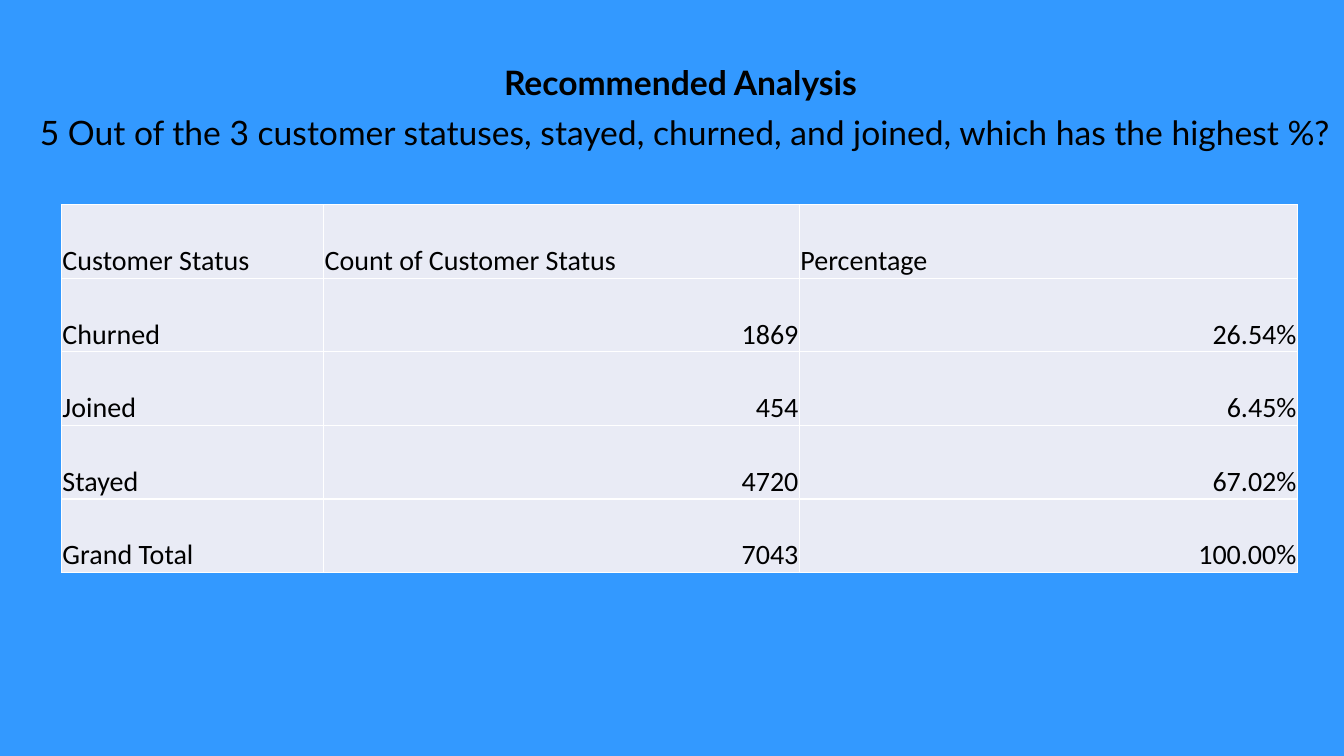
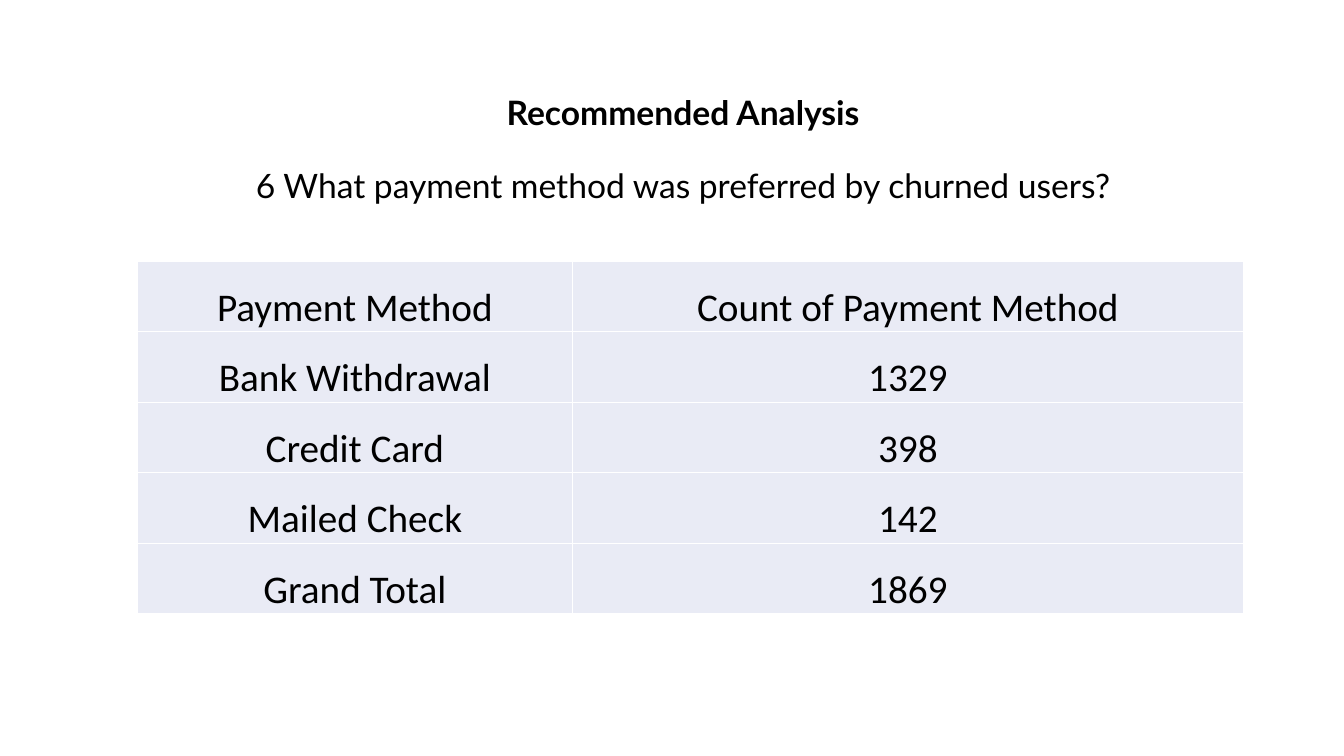
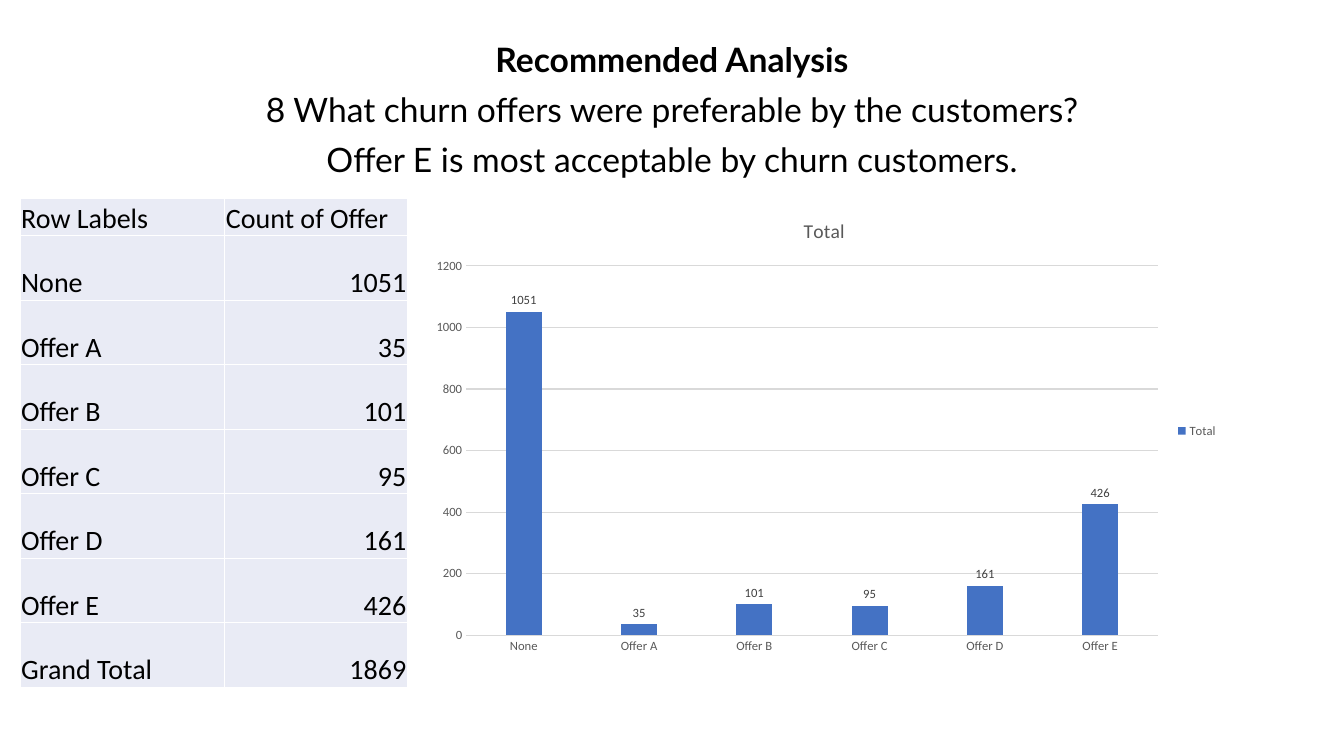
from pptx import Presentation
from pptx.chart.data import CategoryChartData
from pptx.dml.color import RGBColor
from pptx.enum.chart import (XL_CHART_TYPE, XL_LABEL_POSITION,
                             XL_LEGEND_POSITION, XL_TICK_MARK)
from pptx.enum.text import MSO_ANCHOR, PP_ALIGN
from pptx.oxml import parse_xml
from pptx.oxml.ns import nsdecls
from pptx.util import Inches, Pt

LEFT, CENTER, RIGHT = PP_ALIGN.LEFT, PP_ALIGN.CENTER, PP_ALIGN.RIGHT
BOTTOM = MSO_ANCHOR.BOTTOM
COLUMN_CLUSTERED = XL_CHART_TYPE.COLUMN_CLUSTERED
OUTSIDE_END = XL_LABEL_POSITION.OUTSIDE_END
LEGEND_RIGHT = XL_LEGEND_POSITION.RIGHT
NO_TICK = XL_TICK_MARK.NONE

BLUE = RGBColor(0x33, 0x99, 0xFF)
WHITE = RGBColor(0xFF, 0xFF, 0xFF)
BLACK = RGBColor(0x00, 0x00, 0x00)
CELL_FILL = RGBColor(0xE9, 0xEB, 0xF5)
BAR_BLUE = RGBColor(0x44, 0x72, 0xC4)
AXIS_TEXT = RGBColor(0x59, 0x59, 0x59)
LABEL_TEXT = RGBColor(0x40, 0x40, 0x40)
GRID_GRAY = RGBColor(0xD9, 0xD9, 0xD9)

HEADING = "Recommended Analysis"
HEADING_FONT, BODY_FONT = "Lato", "Calibri"

OFFERS = [("None", 1051), ("Offer A", 35), ("Offer B", 101),
          ("Offer C", 95), ("Offer D", 161), ("Offer E", 426)]

# Boxes are (left, top, width, height) in inches; gap is points between lines.
SLIDES = [
    {
        "background": BLUE,
        "heading_box": (0.17, 0.61, 13.16, 6.23),
        "gap": 10,
        "lines": [" 5 Out of the 3 customer statuses, stayed, churned, "
                  "and joined, which has the highest %?"],
        "table": {
            "at": (0.61, 2.03), "columns": (2.6, 4.72, 4.94),
            "header_height": 0.73, "row_height": 0.73,
            "size": 20, "centered": False,
            "rows": [("Customer Status", "Count of Customer Status", "Percentage"),
                     ("Churned", 1869, "26.54%"),
                     ("Joined", 454, "6.45%"),
                     ("Stayed", 4720, "67.02%"),
                     ("Grand Total", 7043, "100.00%")],
        },
    },
    {
        "background": WHITE,
        "heading_box": (0.48, 0.91, 12.59, 5.88),
        "gap": 26,
        "lines": ["6 What payment method was preferred by churned users?"],
        "table": {
            "at": (1.36, 2.59), "columns": (4.32, 6.65),
            "header_height": 0.7, "row_height": 0.7,
            "size": 28, "centered": True,
            "rows": [("Payment Method", "Count of Payment Method"),
                     ("Bank Withdrawal", 1329),
                     ("Credit Card", 398),
                     ("Mailed Check", 142),
                     ("Grand Total", 1869)],
        },
    },
    {
        "background": WHITE,
        "heading_box": (0, 0.38, 13.33, 6.93),
        "gap": 10,
        "lines": ["8 What churn offers were preferable by the customers?",
                  "Offer E is most acceptable by churn customers."],
        "table": {
            "at": (0.2, 1.97), "columns": (2.03, 1.81),
            "header_height": 0.37, "row_height": 0.64,
            "size": 20, "centered": False,
            "rows": [("Row Labels", "Count of Offer"), *OFFERS,
                     ("Grand Total", 1869)],
        },
        "chart": {"box": (4.17, 1.97, 8.01, 4.61), "name": "Total",
                  "points": OFFERS},
    },
]


def set_font(font, name, size, color, bold=False):
    font.name, font.size, font.bold = name, Pt(size), bold
    font.color.rgb = color


def add_heading(slide, box, lines, gap):
    frame = slide.shapes.add_textbox(*map(Inches, box)).text_frame
    frame.word_wrap = True
    for index, line in enumerate([HEADING, *lines]):
        para = frame.add_paragraph() if index else frame.paragraphs[0]
        para.text = line
        para.alignment = CENTER
        para.line_spacing = 0.9
        para.space_before = Pt(gap if index else 0)
        set_font(para.font, HEADING_FONT, 24, BLACK, bold=index == 0)


def add_borders(cell):
    properties = cell._tc.get_or_add_tcPr()
    for side in ("lnL", "lnR", "lnT", "lnB"):
        properties.append(parse_xml(
            f'<a:{side} {nsdecls("a")} w="{Pt(1)}"><a:solidFill>'
            f'<a:srgbClr val="{WHITE}"/></a:solidFill></a:{side}>'))


def style_cell(cell, text, alignment, size):
    add_borders(cell)
    cell.fill.solid()
    cell.fill.fore_color.rgb = CELL_FILL
    cell.vertical_anchor = BOTTOM
    cell.margin_left = cell.margin_right = cell.margin_top = Inches(0.01)
    cell.margin_bottom = 0
    para = cell.text_frame.paragraphs[0]
    para.text = text
    para.alignment = alignment
    set_font(para.font, BODY_FONT, size, BLACK)


def add_data_table(slide, at, columns, header_height, row_height, size,
                   centered, rows):
    heights = [header_height] + [row_height] * (len(rows) - 1)
    table = slide.shapes.add_table(
        len(rows), len(columns),
        *map(Inches, (*at, sum(columns), sum(heights)))).table
    table.first_row = table.horz_banding = False
    for column, width in zip(table.columns, columns):
        column.width = Inches(width)
    for row, height in zip(table.rows, heights):
        row.height = Inches(height)
    for r, values in enumerate(rows):
        for c, value in enumerate(values):
            alignment = CENTER if centered else RIGHT if r and c else LEFT
            style_cell(table.cell(r, c), str(value), alignment, size)


def add_column_chart(slide, box, name, points):
    data = CategoryChartData()
    data.categories = [label for label, _ in points]
    data.add_series(name, [value for _, value in points])
    chart = slide.shapes.add_chart(
        COLUMN_CLUSTERED, *map(Inches, box), data).chart
    set_font(chart.font, BODY_FONT, 10, BLACK)

    chart.has_title = True
    title = chart.chart_title.text_frame.paragraphs[0]
    title.text = name
    set_font(title.font, BODY_FONT, 14, AXIS_TEXT)

    chart.has_legend = True
    chart.legend.position = LEGEND_RIGHT
    chart.legend.include_in_layout = False
    set_font(chart.legend.font, BODY_FONT, 9, AXIS_TEXT)

    for axis in (chart.category_axis, chart.value_axis):
        axis.major_tick_mark = axis.minor_tick_mark = NO_TICK
        set_font(axis.tick_labels.font, BODY_FONT, 9, AXIS_TEXT)
    chart.value_axis.format.line.fill.background()
    chart.value_axis.has_major_gridlines = True
    for line in (chart.category_axis.format.line,
                 chart.value_axis.major_gridlines.format.line):
        line.color.rgb = GRID_GRAY
        line.width = Pt(0.75)

    plot = chart.plots[0]
    plot.gap_width, plot.overlap = 219, -27
    plot.vary_by_categories = False
    bars = plot.series[0]
    bars.format.fill.solid()
    bars.format.fill.fore_color.rgb = BAR_BLUE
    labels = bars.data_labels
    labels.show_value = True
    labels.position = OUTSIDE_END
    set_font(labels.font, BODY_FONT, 9, LABEL_TEXT)


def main():
    deck = Presentation()
    deck.slide_width, deck.slide_height = Inches(13.33), Inches(7.5)
    blank = deck.slide_layouts[6]
    for content in SLIDES:
        slide = deck.slides.add_slide(blank)
        slide.background.fill.solid()
        slide.background.fill.fore_color.rgb = content["background"]
        add_heading(slide, content["heading_box"], content["lines"],
                    content["gap"])
        add_data_table(slide, **content["table"])
        if "chart" in content:
            add_column_chart(slide, **content["chart"])
    deck.save("out.pptx")


if __name__ == "__main__":
    main()
